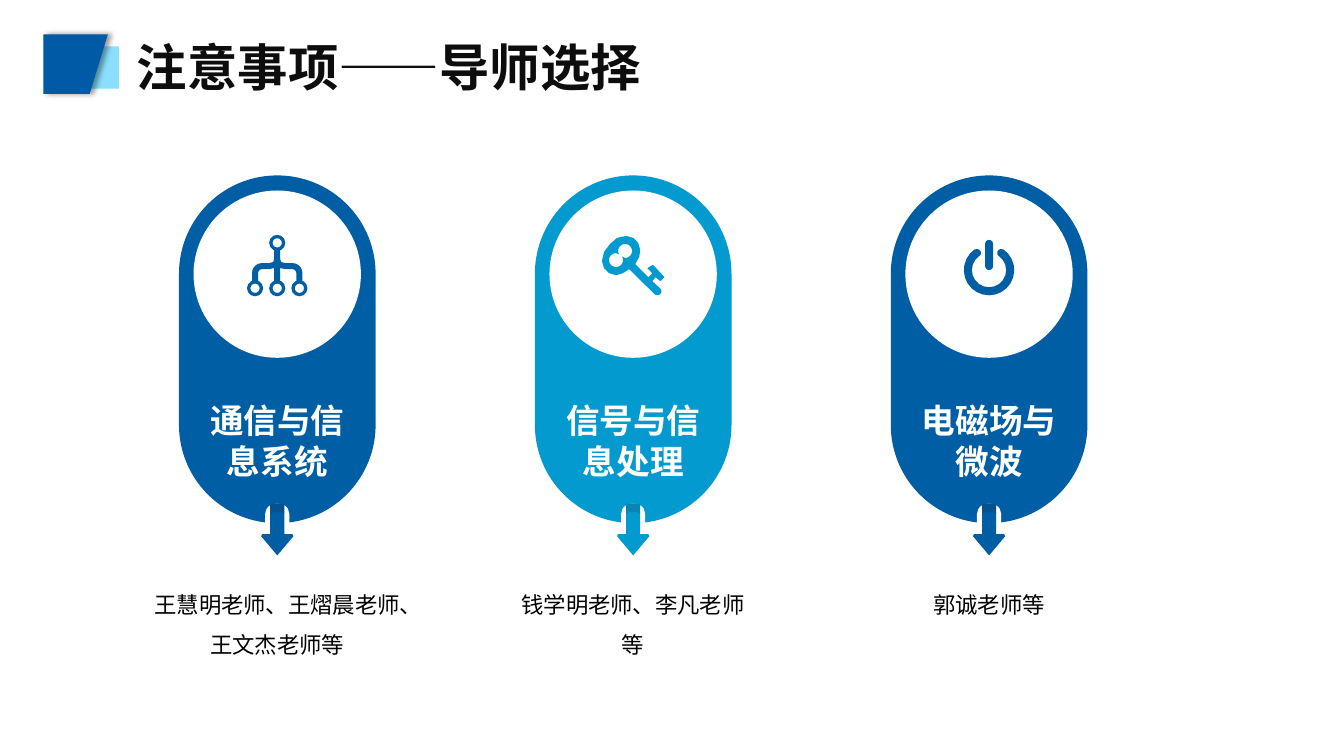
from math import cos, radians, sin

from lxml import etree
from pptx import Presentation
from pptx import util as u
from pptx.dml.color import RGBColor
from pptx.enum import shapes, text
from pptx.oxml.ns import qn

HUES = {"navy": "005EA4", "cyan": "039ACF", "logo": "005AA6", "pale": "89DFFD",
        "shade": "231815", "title": "0D0D0D", "white": "FFFFFF", "black": "000000"}
SANS = "Noto Sans CJK SC"
KIND = shapes.MSO_SHAPE


# Outline geometry: points in inches, x measured from the column centre
def arc(x, y, r, start, end, steps):
    turns = [radians(start + (end - start) * i / steps) for i in range(steps + 1)]
    return [(x + r * cos(t), y + r * sin(t)) for t in turns]


def flip(half):
    """Close a right half with its mirror image."""
    return half + [(-x, y) for x, y in reversed(half)]


ARROW = [flip([(0.07, 5), (0.07, 5.3), (0.15, 5.3), (0.16, 5.32), (0, 5.51)])]
SHADE = [flip([(0.07, 5), (0.07, 5.1), (0.04, 5.08)])]


# Element makers
def paint(shape, hue):
    shape.shadow.inherit = False
    shape.fill.solid()
    shape.fill.fore_color.rgb = RGBColor.from_string(HUES[hue])
    shape.line.fill.background()
    return shape


def preset(slide, kind, box, hue, bend=None):
    shape = slide.shapes.add_shape(kind, *map(u.Inches, box))
    if bend is not None:
        shape.adjustments[0] = bend
    return paint(shape, hue)


def free(slide, mid, loops, hue):
    spots = [[(u.Inches(mid + x), u.Inches(y)) for x, y in loop] for loop in loops]
    pen = slide.shapes.build_freeform(*spots[0][0], scale=1.0)
    pen.add_line_segments(spots[0][1:], close=True)
    for loop in spots[1:]:
        pen.move_to(*loop[0])
        pen.add_line_segments(loop[1:], close=True)
    return paint(pen.convert_to_shape(), hue)


def fade(color, share):
    etree.SubElement(color, qn("a:alpha")).set("val", str(share * 1000))


def words(slide, box, line, size, hue, font=SANS, bold=False, wrap=True, gap=None):
    frame = slide.shapes.add_textbox(*map(u.Inches, box)).text_frame
    frame.word_wrap = wrap
    para = frame.paragraphs[0]
    para.alignment = text.PP_ALIGN.CENTER if wrap else text.PP_ALIGN.LEFT
    if gap:
        para.line_spacing = gap
    run = para.add_run()
    run.text = line
    run.font.size = u.Pt(size)
    run.font.bold = bold
    run.font.name = font
    run.font.color.rgb = RGBColor.from_string(HUES[hue])
    east = etree.SubElement(run.font._element, qn("a:ea"))
    east.set("typeface", SANS)


# Icons
def tree(slide, mid, hue):
    half = ([(0.03, 2.48), (0.03, 2.57), (0.04, 2.6), (0.08, 2.61)]
            + arc(0.15, 2.71, 0.1, -90, 0, 5)
            + [(0.25, 2.79), (0.19, 2.79)]
            + arc(0.15, 2.71, 0.04, 0, -90, 4)
            + [(0.08, 2.67), (0.03, 2.66), (0.03, 2.79)])
    free(slide, mid, [flip(half)], hue)
    for x, y in [(0, 2.41), (-0.22, 2.86), (0, 2.86), (0.22, 2.86)]:
        preset(slide, KIND.DONUT, (mid + x - 0.08, y - 0.08, 0.16, 0.16), hue, 0.21)


def key(slide, mid, hue):
    bow = [(-0.04, 2.67), (-0.1, 2.71), (-0.17, 2.73), (-0.24, 2.71),
           (-0.29, 2.66), (-0.31, 2.59), (-0.29, 2.5), (-0.23, 2.42),
           (-0.16, 2.36), (-0.07, 2.34), (0, 2.36), (0.05, 2.41),
           (0.07, 2.48), (0.06, 2.55), (0.02, 2.62)]
    bit = [(0.15, 2.75), (0.19, 2.71), (0.14, 2.66), (0.19, 2.63), (0.2, 2.63),
           (0.31, 2.75), (0.27, 2.79), (0.22, 2.75), (0.19, 2.79)]
    tip = arc(0.24, 2.89, 0.04, -45, 135, 6)
    hole = (arc(-0.08, 2.49, 0.07, 150, 450, 12)
            + arc(-0.17, 2.58, 0.07, -30, 270, 12))
    free(slide, mid, [bow + bit + tip, hole], hue)


def power(slide, mid, hue):
    loop = (arc(0, 2.68, 0.25, -55, 235, 20) + arc(-0.12, 2.51, 0.04, 235, 415, 5)
            + arc(0, 2.68, 0.17, 235, -55, 16) + arc(0.12, 2.51, 0.04, 125, 305, 5))
    free(slide, mid, [loop], hue)
    preset(slide, KIND.ROUNDED_RECTANGLE, (mid - 0.04, 2.38, 0.08, 0.3), hue, 0.5)


# Slide parts
def header(slide):
    preset(slide, KIND.RECTANGLE, (0.69, 0.46, 0.49, 0.42), "pale")
    flag = free(slide, 0, [[(0.43, 0.34), (1.07, 0.34), (0.89, 0.93), (0.43, 0.93)]],
                "logo")
    glow = etree.SubElement(flag._element.spPr.find(qn("a:effectLst")),
                            qn("a:outerShdw"))
    glow.set("blurRad", str(u.Pt(4)))
    glow.set("dist", str(u.Pt(3)))
    glow.set("dir", "0")
    tint = etree.SubElement(glow, qn("a:srgbClr"))
    tint.set("val", HUES["black"])
    fade(tint, 40)
    words(slide, (1.26, 0.31, 5.33, 0.71), "注意事项——导师选择", 36, "title",
          bold=True, wrap=False)


def column(slide, mid, hue, icon, field, staff, width):
    # Pill with its round window and the notch for the arrow
    preset(slide, KIND.ROUNDED_RECTANGLE, (mid - 0.975, 1.74, 1.95, 3.45), hue, 0.5)
    preset(slide, KIND.OVAL, (mid - 0.83, 1.89, 1.66, 1.66), "white")
    preset(slide, KIND.ROUND_2_SAME_RECTANGLE, (mid - 0.12, 5, 0.24, 0.2), "white", 0.5)
    free(slide, mid, ARROW, hue)
    shade = free(slide, mid, SHADE, "shade")
    fade(shade._element.spPr.find(".//" + qn("a:srgbClr")), 15)
    icon(slide, mid, hue)
    words(slide, (mid - 0.825, 3.92, 1.65, 0.91), field, 24, "white", "Arial", True)
    words(slide, (mid - width / 2, 5.68, width, 0.87), staff, 16, "black", gap=1.5)


def main():
    deck = Presentation()
    deck.slide_width, deck.slide_height = u.Inches(13.33), u.Inches(7.5)
    slide = deck.slides.add_slide(deck.slide_layouts[6])
    header(slide)

    # One column per research field
    fields = [
        ("navy", tree, "通信与信息系统", "王慧明老师、王熠晨老师、王文杰老师等", 2.69),
        ("cyan", key, "信号与信息处理", "钱学明老师、李凡老师等", 2.53),
        ("navy", power, "电磁场与微波", "郭诚老师等", 2.53),
    ]
    for i, field in enumerate(fields):
        column(slide, 2.75 + 3.53 * i, *field)
    deck.save("out.pptx")


if __name__ == "__main__":
    main()
